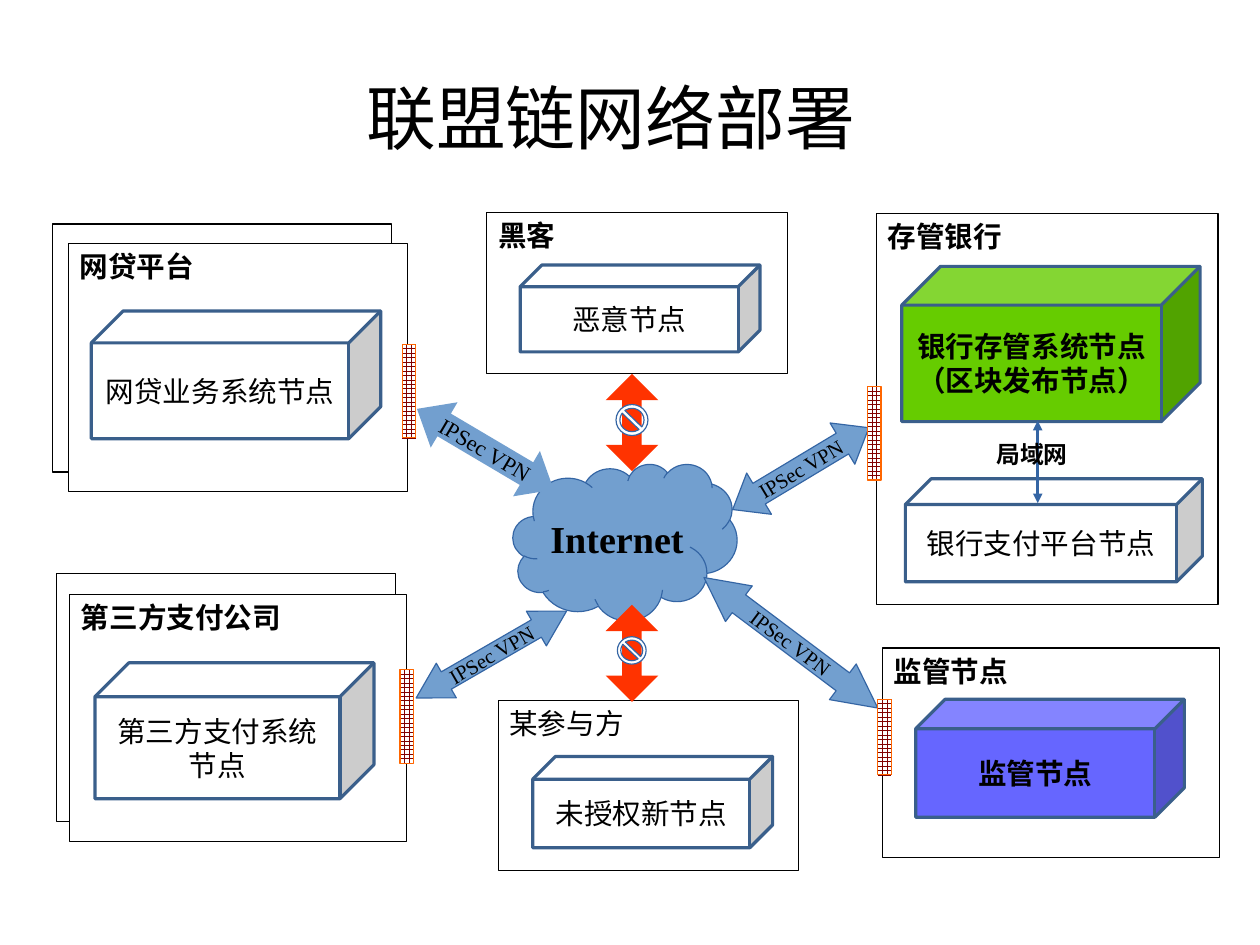
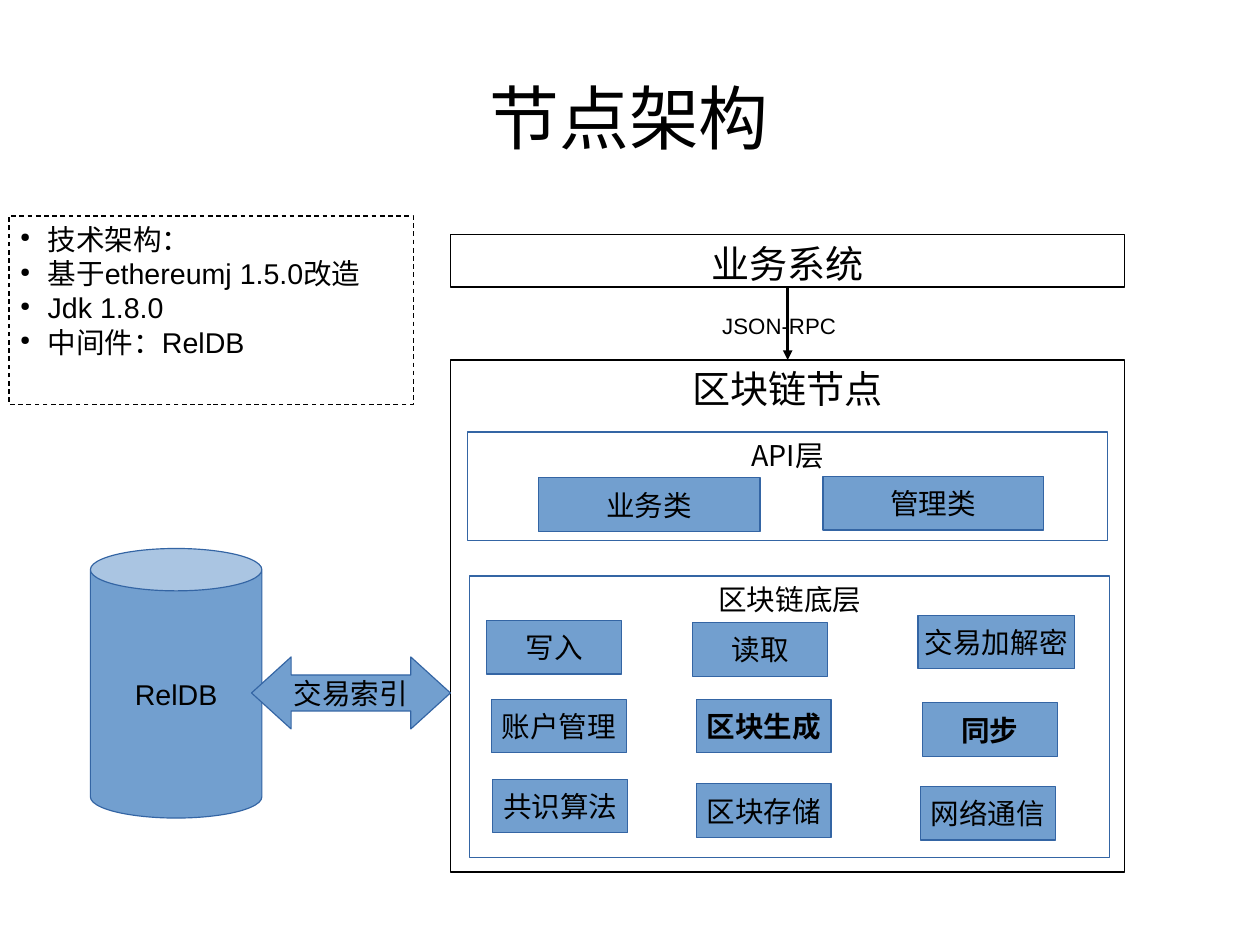
"""Build two slides: consortium chain network deployment and node architecture."""
from dataclasses import dataclass

from lxml.etree import SubElement
from pptx import Presentation
from pptx.dml.color import RGBColor
from pptx.enum.dml import MSO_LINE, MSO_PATTERN
from pptx.enum.lang import MSO_LANGUAGE_ID
from pptx.enum.shapes import MSO_CONNECTOR, MSO_SHAPE
from pptx.enum.text import MSO_ANCHOR, PP_ALIGN
from pptx.oxml.ns import qn
from pptx.util import Cm, Pt


@dataclass(frozen=True)
class Theme:
    black: str = "000000"
    white: str = "FFFFFF"
    blue: str = "729FCF"
    blue_line: str = "3465A4"
    cube_line: str = "3A5F8B"
    green: str = "66CC00"
    violet: str = "6666FF"
    red: str = "FF3300"
    brick: str = "800000"
    brick_line: str = "FF6600"
    sans: str = "Arial"
    serif: str = "Times New Roman"
    cjk: str = "Noto Sans CJK JP"
    title: int = 44
    heading: int = 24
    body: int = 18
    label: int = 15
    caption: int = 14
    tunnel: int = 13
    hairline: int = 0
    cube_width: int = 2


theme = Theme()


def write(box, text, size=theme.body, font=theme.cjk, bold=False,
          align=PP_ALIGN.CENTER, anchor=MSO_ANCHOR.MIDDLE, wrap=True):
    frame = box.text_frame
    frame.word_wrap = wrap
    frame.vertical_anchor = anchor
    frame.text = text
    for para in frame.paragraphs:
        para.alignment = align
        for span in para.runs:
            span.font.size = Pt(size)
            span.font.name = font
            span.font.bold = bold
            span.font.color.rgb = RGBColor.from_string(theme.black)
            span.font.language_id = MSO_LANGUAGE_ID.SIMPLIFIED_CHINESE
            latin = span.font._element.find(qn("a:latin"))
            east_asian = SubElement(span.font._element, qn("a:ea"), typeface=theme.cjk)
            latin.addnext(east_asian)


def draw(page, kind, place, fill=theme.white, line=theme.black,
         width=theme.hairline, adjustments=(), rotation=0):
    box = page.shapes.add_shape(kind, *[Cm(length) for length in place])
    box.shadow.inherit = False
    box.rotation = rotation
    box.fill.solid()
    box.fill.fore_color.rgb = RGBColor.from_string(fill)
    if line:
        box.line.color.rgb = RGBColor.from_string(line)
        box.line.width = Pt(width)
    else:
        box.line.fill.background()
    for index, value in enumerate(adjustments):
        box.adjustments[index] = value
    return box


deck = Presentation()
deck.slide_width, deck.slide_height = Cm(28), Cm(21)
network, architecture = [deck.slides.add_slide(deck.slide_layouts[6]) for _ in range(2)]

for page, place, text, style in [
    (network, (0.99, 0.86, 25.17, 3.48), "联盟链网络部署",
     dict(size=theme.title, font=theme.sans)),
    (architecture, (1.4, 0.84, 25.17, 3.48), "节点架构",
     dict(size=theme.title, font=theme.sans)),
    (network, (21.89, 9.65, 2.79, 1.02), "局域网",
     dict(size=theme.label, bold=True, align=PP_ALIGN.LEFT, anchor=MSO_ANCHOR.TOP)),
    (architecture, (15.8, 6.81, 3.58, 0.99), "JSON-RPC",
     dict(size=theme.caption, font=theme.sans, align=PP_ALIGN.LEFT, anchor=MSO_ANCHOR.TOP)),
]:
    write(page.shapes.add_textbox(*[Cm(length) for length in place]), text, **style)
lan_label = network.shapes[-1]
rpc_label = architecture.shapes[-1]

for place in [(1.25, 12.75, 7.54, 5.51), (1.17, 4.98, 7.54, 5.51)]:
    draw(network, MSO_SHAPE.RECTANGLE, place)

for place, text, bold in [
    ((1.52, 5.41, 7.54, 5.51), "网贷平台", True),
    ((19.48, 4.75, 7.59, 8.69), "存管银行", True),
    ((1.55, 13.21, 7.49, 5.49), "第三方支付公司", True),
    ((19.61, 14.4, 7.49, 4.65), "监管节点", True),
    ((11.07, 15.57, 6.68, 3.78), "某参与方", False),
    ((10.82, 4.72, 6.68, 3.58), "黑客", True),
]:
    panel = draw(network, MSO_SHAPE.RECTANGLE, place)
    write(panel, text, bold=bold, align=PP_ALIGN.LEFT, anchor=MSO_ANCHOR.TOP)

for place, text, fill in [
    ((2.03, 6.91, 6.43, 2.84), "网贷业务系统节点", theme.white),
    ((20.04, 5.92, 6.63, 3.45), "银行存管系统节点\n（区块发布节点）", theme.green),
    ((20.12, 10.64, 6.6, 2.29), "银行支付平台节点", theme.white),
    ((2.11, 14.73, 6.2, 3.02), "第三方支付系统节点", theme.white),
    ((20.35, 15.54, 5.97, 2.62), "监管节点", theme.violet),
    ((11.84, 16.81, 5.33, 2.03), "未授权新节点", theme.white),
    ((11.56, 5.89, 5.33, 1.93), "恶意节点", theme.white),
]:
    cube = draw(network, MSO_SHAPE.CUBE, place, fill, theme.cube_line,
                theme.cube_width, [0.25])
    write(cube, text, font=theme.serif, bold=fill != theme.white)

cloud = draw(network, MSO_SHAPE.CLOUD, (11.4, 10.31, 4.98, 3.48), theme.blue, theme.blue_line)
write(cloud, "Internet", theme.heading, theme.serif, bold=True, wrap=False)

for place, rotation, head, line, size in [
    ((16.03, 9.88, 3.53, 1.07), 329, 0.64, theme.blue_line, theme.tunnel),
    ((9.02, 9.4, 3.53, 1.17), 30.6, 0.6, None, theme.caption),
    ((8.99, 14.1, 3.86, 0.89), 330, 0.87, theme.blue_line, theme.tunnel),
    ((15.16, 13.79, 4.83, 0.99), 36.9, 0.98, theme.blue_line, theme.tunnel),
]:
    tunnel = draw(network, MSO_SHAPE.LEFT_RIGHT_ARROW, place, theme.blue, line,
                  adjustments=[0.5, head], rotation=rotation)
    write(tunnel, "IPSec VPN", size, theme.serif, wrap=False)

for left, top, height in [(8.94, 7.65, 2.08), (8.89, 14.88, 2.08),
                          (19.51, 15.54, 1.68), (19.28, 8.59, 2.08)]:
    firewall = draw(network, MSO_SHAPE.RECTANGLE, (left, top, 0.3, height),
                    line=theme.brick_line)
    firewall.fill.patterned()
    firewall.fill.pattern = MSO_PATTERN.LARGE_GRID
    firewall.fill.fore_color.rgb = RGBColor.from_string(theme.brick)
    firewall.fill.back_color.rgb = RGBColor.from_string(theme.white)

for top, sign_place in [(8.31, (13.69, 8.99, 0.71, 0.69)),
                        (13.44, (13.72, 14.15, 0.64, 0.61))]:
    draw(network, MSO_SHAPE.UP_DOWN_ARROW, (13.46, top, 1.17, 2.16), theme.red, None,
         adjustments=[0.5, 0.37])
    draw(network, MSO_SHAPE.NO_SYMBOL, sign_place, line=theme.blue_line, adjustments=[0.125])

frames = []
for place, text, line, size in [
    ((10.01, 8, 14.99, 11.38), "区块链节点", theme.black, theme.heading),
    ((10.01, 5.21, 14.99, 1.17), "业务系统", theme.black, theme.heading),
    ((10.39, 9.6, 14.22, 2.41), "API层", theme.blue_line, theme.body),
    ((10.44, 12.8, 14.22, 6.25), "区块链底层", theme.blue_line, theme.body),
]:
    frame_box = draw(architecture, MSO_SHAPE.RECTANGLE, place, line=line)
    write(frame_box, text, size, anchor=MSO_ANCHOR.TOP, wrap=False)
    frames.append(frame_box)
node_frame, business_frame = frames[:2]

for left, top, width, text, bold in [
    (11.96, 10.62, 4.93, "业务类", False),
    (18.29, 10.59, 4.9, "管理类", False),
    (10.82, 13.79, 3, "写入", False),
    (15.39, 13.84, 3, "读取", False),
    (20.4, 13.67, 3.48, "交易加解密", False),
    (10.92, 15.54, 3, "账户管理", False),
    (15.47, 15.54, 3, "区块生成", True),
    (20.5, 15.62, 3, "同步", True),
    (10.95, 17.32, 3, "共识算法", False),
    (15.47, 17.42, 3, "区块存储", False),
    (20.45, 17.48, 3, "网络通信", False),
]:
    module = draw(architecture, MSO_SHAPE.RECTANGLE, (left, top, width, 1.19),
                  theme.blue, theme.blue_line)
    write(module, text, bold=bold, wrap=False)

for kind, place, adjustments, text in [
    (MSO_SHAPE.CAN, (2.01, 12.19, 3.81, 5.99), [0.247], "RelDB"),
    (MSO_SHAPE.LEFT_RIGHT_ARROW, (5.59, 14.6, 4.42, 1.6), [0.5, 0.55], "交易索引"),
]:
    storage = draw(architecture, kind, place, theme.blue, theme.blue_line,
                   adjustments=adjustments)
    write(storage, text, font=theme.sans, wrap=False)

stack = draw(architecture, MSO_SHAPE.RECTANGLE, (0.2, 4.8, 8.99, 4.19))
stack.line.dash_style = MSO_LINE.DASH
write(stack, "技术架构：\n基于ethereumj 1.5.0改造\nJdk 1.8.0\n中间件：RelDB",
      font=theme.sans, align=PP_ALIGN.LEFT, anchor=MSO_ANCHOR.TOP)
for para in stack.text_frame.paragraphs:
    properties = para._p.get_or_add_pPr()
    properties.set("marL", str(Cm(0.61)))
    properties.set("indent", str(-Cm(0.61)))
    SubElement(properties, qn("a:buSzPct"), val="45000")
    SubElement(properties, qn("a:buChar"), char="●")

lan_link = network.shapes.add_connector(
    MSO_CONNECTOR.STRAIGHT, Cm(23.06), Cm(9.35), Cm(23.06), Cm(11.18))
rpc_link = architecture.shapes.add_connector(
    MSO_CONNECTOR.STRAIGHT, Cm(17.5), Cm(6.38), Cm(17.5), Cm(8))
rpc_link.begin_connect(business_frame, 2)
rpc_link.end_connect(node_frame, 0)
for link, colour, ends in [(lan_link, theme.blue_line, ["a:headEnd", "a:tailEnd"]),
                           (rpc_link, theme.black, ["a:tailEnd"])]:
    link.line.color.rgb = RGBColor.from_string(colour)
    link.line.width = Pt(theme.hairline)
    for end in ends:
        SubElement(link.line._get_or_add_ln(), qn(end), type="triangle")
    SubElement(link._element.spPr, qn("a:effectLst"))

for label in (lan_label, rpc_label):
    label._element.getparent().append(label._element)

deck.save("out.pptx")
